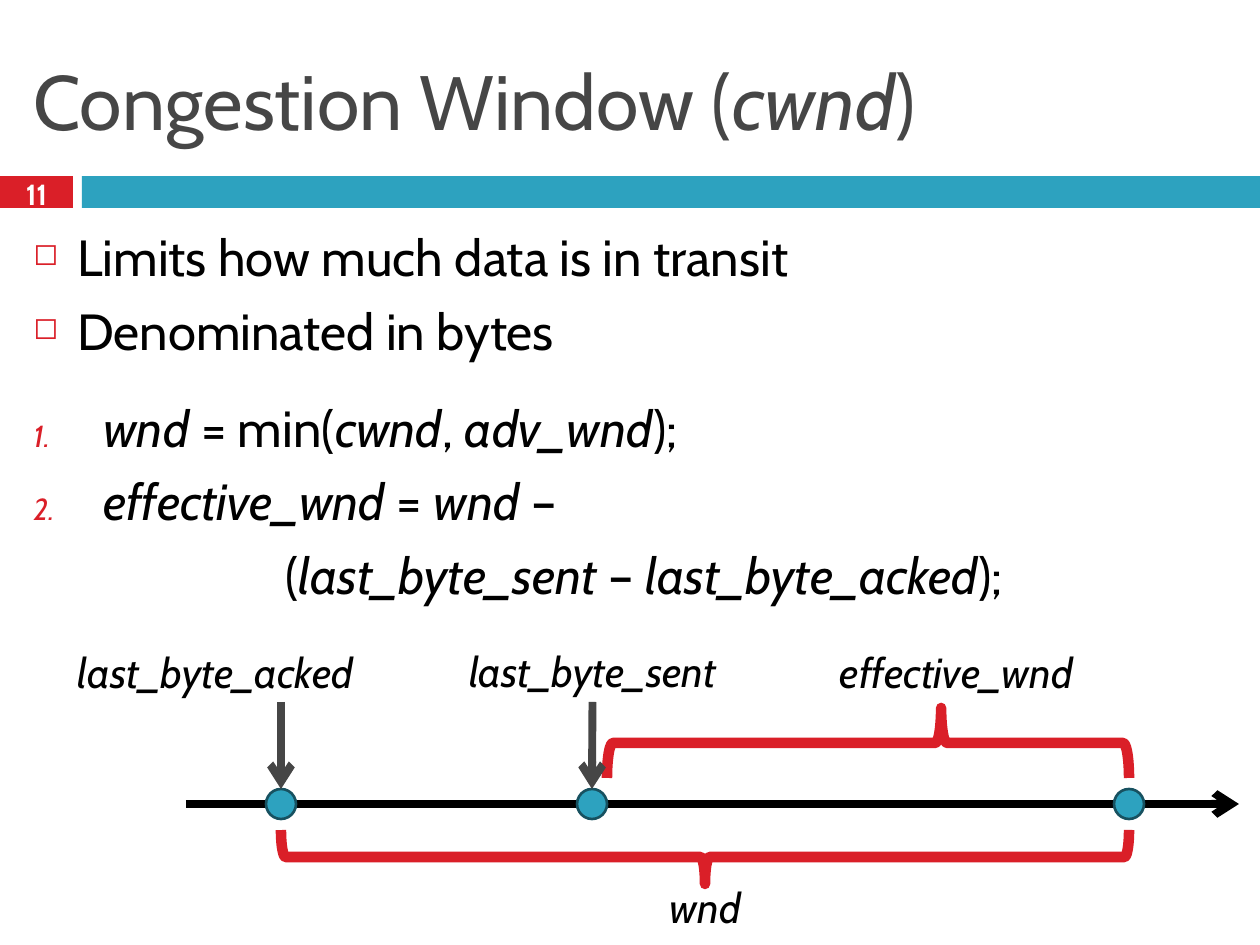
"""Build the slide that explains the congestion window."""
from lxml.etree import SubElement
from pptx import Presentation
from pptx.dml.color import RGBColor
from pptx.enum.shapes import MSO_CONNECTOR as Connector, MSO_SHAPE as Shape
from pptx.enum.text import MSO_ANCHOR as Anchor, MSO_AUTO_SIZE as AutoSize, PP_ALIGN as Align
from pptx.oxml.ns import qn
from pptx.util import Pt

EMU_PER_PX = 914400 / 126
FONT = "Cabin"
BLACK = RGBColor(0x00, 0x00, 0x00)
WHITE = RGBColor(0xFF, 0xFF, 0xFF)
GREY = RGBColor(0x46, 0x46, 0x46)
RED = RGBColor(0xDA, 0x1F, 0x28)
TEAL = RGBColor(0x2D, 0xA2, 0xBF)
DARK_TEAL = RGBColor(0x17, 0x51, 0x60)

BULLET = ("buChar", {"char": "◻"})
NUMBER = ("buAutoNum", {"type": "arabicPeriod"})
BODY = [
    ("Limits how much data is in transit", BULLET, 44, 44, 7),
    ("Denominated in bytes", BULLET, 44, 44, 7),
    ("*wnd* = min(*cwnd*, *adv_wnd*);", NUMBER, 70, 70, 21),
    ("*effective_wnd* = *wnd* –", NUMBER, 70, 70, 7),
    ("(*last_byte_sent* – *last_byte_acked*);", None, 252, 0, 7),
]
AXIS_Y = 804
ACKED_X, SENT_X, END_X = 281, 592, 1129
DOT = 30


def px(length):
    """Turn pixels into EMU."""
    return round(length * EMU_PER_PX)


def write(para, text, size=24, color=BLACK, bold=False, align=Align.LEFT, before=0):
    """Fill a paragraph, setting the parts between asterisks in italics."""
    para.alignment = align
    para.space_before = Pt(before)
    for index, part in enumerate(text.split("*")):
        if part:
            span = para.add_run()
            span.text = part
            font = span.font
            font.name, font.size, font.bold = FONT, Pt(size), bold
            font.italic = index % 2 == 1
            font.color.rgb = color


def set_marker(para, marker, left, hanging):
    """Indent a paragraph and give it a small red bullet or number."""
    props = para._p.get_or_add_pPr()
    props.set("marL", str(px(left)))
    props.set("indent", str(px(-hanging)))
    if marker:
        tag, attributes = marker
        color = SubElement(props, qn("a:buClr"))
        SubElement(color, qn("a:srgbClr"), val=str(RED))
        SubElement(props, qn("a:buSzPct"), val="60000")
        SubElement(props, qn(f"a:{tag}"), attributes)


class Painter:
    """Hold the current page and draw its elements in one style."""

    def __init__(self, page):
        """Keep the page to draw on."""
        self.page = page

    def title(self, text, left, top, width, height):
        """Place and fill the title placeholder."""
        box = self.page.shapes.title
        box.left, box.top, box.width, box.height = map(px, (left, top, width, height))
        box.text_frame.vertical_anchor = Anchor.MIDDLE
        write(box.text_frame.paragraphs[0], text, size=44, color=GREY)

    def shape(self, kind, left, top, width, height, fill=None, line=None, weight=0):
        """Draw a preset shape."""
        shape = self.page.shapes.add_shape(kind, *map(px, (left, top, width, height)))
        shape.shadow.inherit = False
        if fill is None:
            shape.fill.background()
        else:
            shape.fill.solid()
            shape.fill.fore_color.rgb = fill
        if line is None:
            shape.line.fill.background()
        else:
            shape.line.color.rgb = line
            shape.line.width = Pt(weight)
        return shape

    def dot(self, center):
        """Draw a point on the axis."""
        return self.shape(Shape.OVAL, center - DOT // 2, AXIS_Y - DOT // 2, DOT, DOT,
                          TEAL, DARK_TEAL, 1.5)

    def brace(self, start, end, middle, depth, rotation, tip=0.5):
        """Draw a horizontal brace from start to end."""
        span = end - start
        shape = self.shape(Shape.LEFT_BRACE, (start + end - depth) // 2, middle - span // 2,
                           depth, span, line=RED, weight=6)
        shape.rotation = rotation
        shape.adjustments[1] = tip

    def text_box(self, left, top, width, height, anchor=Anchor.TOP):
        """Add an empty wrapping text box."""
        box = self.page.shapes.add_textbox(*map(px, (left, top, width, height)))
        box.text_frame.word_wrap = True
        box.text_frame.vertical_anchor = anchor
        return box

    def label(self, text, center, top, width):
        """Add a centred italic label."""
        box = self.text_box(center - width // 2, top, width, 63)
        box.text_frame.word_wrap = False
        box.text_frame.auto_size = AutoSize.SHAPE_TO_FIT_TEXT
        write(box.text_frame.paragraphs[0], f"*{text}*", align=Align.CENTER)
        return box

    def arrow(self, start, end, color):
        """Draw a straight arrow between two points."""
        line = self.page.shapes.add_connector(Connector.STRAIGHT, *map(px, start + end))
        line.line.color.rgb = color
        line.line.width = Pt(4.5)
        SubElement(line.line._get_or_add_ln(), qn("a:tailEnd"), type="arrow")
        SubElement(line._element.spPr, qn("a:effectLst"))
        return line


def main():
    """Build and save the deck."""
    deck = Presentation()
    deck.slide_width, deck.slide_height = px(1260), px(945)
    painter = Painter(deck.slides.add_slide(deck.slide_layouts[5]))

    painter.shape(Shape.RECTANGLE, 0, 176, 73, 32, RED)
    painter.shape(Shape.RECTANGLE, 82, 176, 1178, 32, TEAL)
    painter.title("Congestion Window (*cwnd*)", 21, 32, 1218, 136)
    number = painter.text_box(0, 173, 73, 42, Anchor.MIDDLE)
    write(number.text_frame.paragraphs[0], "11", size=16.6, color=WHITE, bold=True,
          align=Align.CENTER)

    frame = painter.text_box(21, 220, 1218, 462).text_frame
    for index, (text, marker, left, hanging, before) in enumerate(BODY):
        para = frame.add_paragraph() if index else frame.paragraphs[0]
        write(para, text, size=29, before=before)
        set_marker(para, marker, left, hanging)

    painter.arrow((186, AXIS_Y), (1239, AXIS_Y), BLACK)
    acked, sent, _ = [painter.dot(center) for center in (ACKED_X, SENT_X, END_X)]
    painter.brace(ACKED_X, END_X, 857, 54, 270)
    painter.brace(607, END_X, 743, 70, 90, tip=0.36)

    painter.label("last_byte_acked", 215, 640, 333)
    sent_label = painter.label("last_byte_sent", SENT_X, 639, 299)
    painter.label("effective_wnd", 956, 640, 285)
    painter.label("wnd", 705, 875, 103)
    for center, dot in ((ACKED_X, acked), (SENT_X, sent)):
        pointer = painter.arrow((center, 702), (center, AXIS_Y - DOT // 2), GREY)
        pointer.end_connect(dot, 0)
    pointer.begin_connect(sent_label, 2)

    deck.save("out.pptx")


if __name__ == "__main__":
    main()
